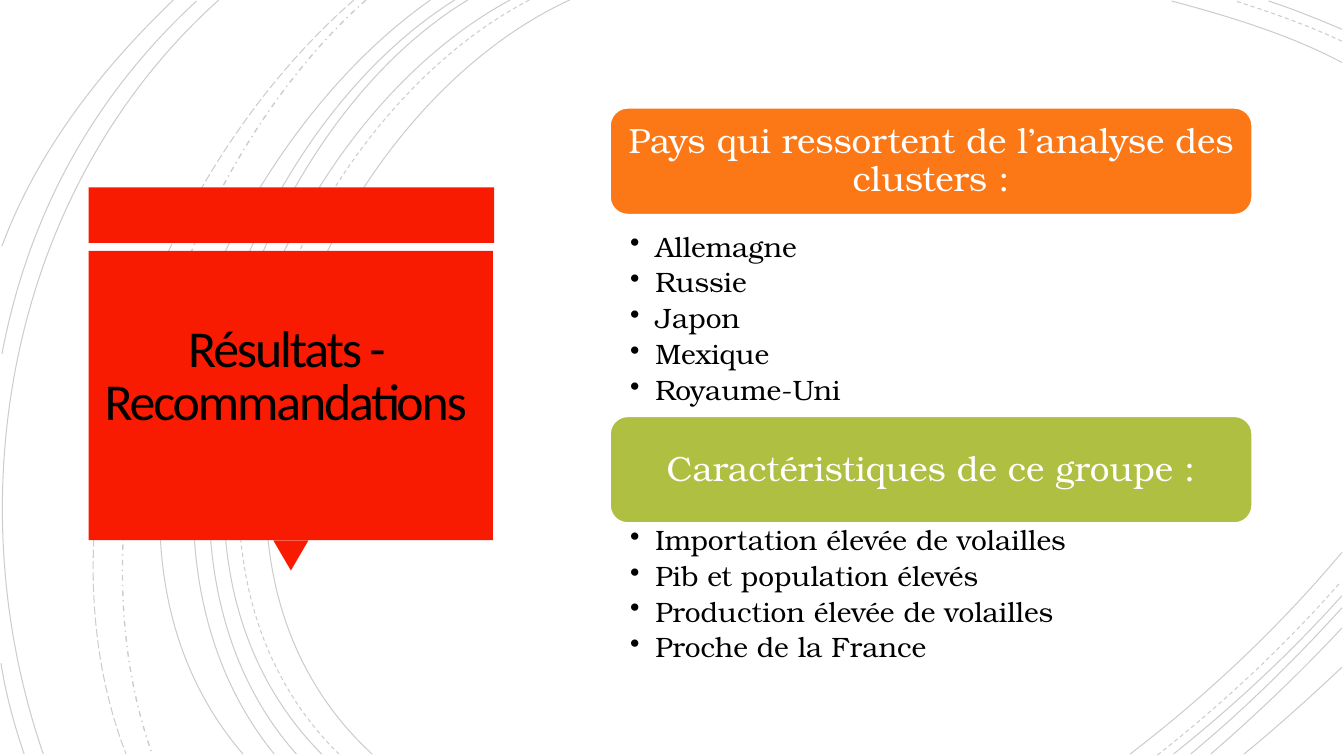
from lxml import etree
from pptx import Presentation
from pptx.dml.color import RGBColor
from pptx.enum.dml import MSO_LINE
from pptx.enum.shapes import MSO_SHAPE
from pptx.enum.text import MSO_ANCHOR, MSO_AUTO_SIZE, PP_ALIGN
from pptx.oxml.ns import qn
from pptx.util import Inches, Pt

SOLID, DASH = MSO_LINE.SOLID, MSO_LINE.DASH
DASH_DOT, LONG_DASH = MSO_LINE.DASH_DOT, MSO_LINE.LONG_DASH
RECTANGLE, ROUNDED = MSO_SHAPE.RECTANGLE, MSO_SHAPE.ROUNDED_RECTANGLE
TRIANGLE = MSO_SHAPE.ISOSCELES_TRIANGLE
CENTER, LEFT = PP_ALIGN.CENTER, PP_ALIGN.LEFT
TOP, MIDDLE = MSO_ANCHOR.TOP, MSO_ANCHOR.MIDDLE

# Content
TITLE = "Résultats - Recommandations"
# heading, colour, heading top, list top, list height, list top inset, items
SECTIONS = [
    ("Pays qui ressortent de l’analyse des clusters :", "FC7715", 1.07, 1.92, 2.21, 0.39,
     ["Allemagne", "Russie", "Japon", "Mexique", "Royaume-Uni"]),
    ("Caractéristiques de ce groupe :", "AFBF41", 4.13, 5.19, 1.44, 0.03,
     ["Importation élevée de volailles", "Pib et population élevés",
      "Production élevée de volailles", "Proche de la France"]),
]
SECTION_LEFT, SECTION_WIDTH, HEADING_HEIGHT = 6.05, 6.37, 1.06
RED = "F81B02"
TITLE_PANEL = [  # preset, left, top, width, height, rotation
    (RECTANGLE, 0.88, 1.86, 4.02, 0.55, 0),
    (TRIANGLE, 2.71, 5.36, 0.35, 0.3, 180),
    (RECTANGLE, 0.88, 2.49, 4.01, 2.87, 0),
]
# Background arcs: start, two control points, end, dash, line width
ARCS = [
    # long sweeps on the left
    ((5.65, 0), (3.15, 1.15), (1.43, 5.4), (3.69, 7.48), SOLID, 0.75),
    ((5.25, 0), (2.85, 1.25), (1.23, 5.37), (3.36, 7.48), DASH, 0.75),
    ((5.06, 0), (2.7, 1.27), (1.1, 5.37), (3.19, 7.48), SOLID, 0.75),
    ((4.64, 0), (2.44, 1.33), (1.1, 5.41), (2.94, 7.48), SOLID, 0.75),
    ((4.51, 0), (2.31, 1.38), (0.97, 5.33), (2.72, 7.48), SOLID, 0.75),
    ((4.27, 0), (2.17, 1.47), (0.53, 5.29), (2.41, 7.48), SOLID, 0.75),
    ((3.63, 0), (1.76, 1.66), (0.65, 5.09), (1.51, 7.48), DASH_DOT, 1),
    ((3.51, 0), (1.57, 1.69), (0.29, 4.99), (1.25, 7.48), LONG_DASH, 0.75),
    ((2.17, 0), (0.11, 1.85), (-0.46, 4.9), (0.43, 7.48), SOLID, 0.75),
    # short arcs at the left edge
    ((1.95, 0.01), (0.92, 0.96), (0.28, 2.14), (0.02, 3.51), SOLID, 0.75),
    ((0.01, 6.58), (0.06, 6.89), (0.14, 7.19), (0.24, 7.48), SOLID, 0.75),
    ((1.72, 0), (1, 0.69), (0.37, 1.5), (0.02, 2.44), SOLID, 0.75),
    # top right corner
    ((13.31, 0.62), (12.78, 0.34), (12.18, 0.16), (11.62, 0.01), SOLID, 0.75),
    ((13.31, 0.41), (12.97, 0.25), (12.6, 0.12), (12.25, 0.01), DASH, 0.75),
    ((13.31, 0.29), (13.07, 0.19), (12.83, 0.09), (12.58, 0.01), SOLID, 0.75),
    # bottom right corner
    ((11.21, 7.48), (11.97, 6.9), (12.69, 6.22), (13.31, 5.48), SOLID, 0.75),
    ((11.48, 7.49), (12.13, 6.98), (12.75, 6.4), (13.3, 5.77), DASH, 0.75),
    ((11.64, 7.48), (12.23, 7.01), (12.8, 6.48), (13.31, 5.91), SOLID, 0.75),
    ((11.81, 7.48), (12.34, 7.04), (12.84, 6.55), (13.31, 6.03), SOLID, 0.75),
    ((12.01, 7.48), (12.46, 7.09), (12.9, 6.67), (13.31, 6.23), SOLID, 0.75),
    ((12.34, 7.48), (12.67, 7.21), (12.99, 6.92), (13.31, 6.62), SOLID, 0.75),
]

# Text formats
TITLE_FORMAT = {"size": Pt(37), "name": "Calibri", "bold": False}
HEADING_FORMAT = {"size": Pt(25), "name": "TeX Gyre Bonum"}
ITEM_FORMAT = {"size": Pt(20), "name": "TeX Gyre Bonum"}


def color(value):
    return RGBColor.from_string(value)


def inches(*values):
    return [Inches(value) for value in values]


def write(shape, lines, font_format, font_color, align, anchor, spacing, insets, after=0):
    frame = shape.text_frame
    left, top, right, bottom = inches(*insets)
    settings = {"word_wrap": True, "auto_size": MSO_AUTO_SIZE.NONE, "vertical_anchor": anchor,
                "margin_left": left, "margin_top": top,
                "margin_right": right, "margin_bottom": bottom}
    for name, value in settings.items():
        setattr(frame, name, value)
    frame.text = "\n".join(lines)
    for paragraph in frame.paragraphs:
        paragraph.alignment = align
        paragraph.line_spacing = spacing
        paragraph.space_after = Pt(after)
        font = paragraph.runs[0].font
        for name, value in font_format.items():
            setattr(font, name, value)
        font.color.rgb = color(font_color)
    return frame.paragraphs


def add_block(preset, box, fill):
    shape = slide.shapes.add_shape(preset, *inches(*box))
    shape.shadow.inherit = False
    shape.fill.solid()
    shape.fill.fore_color.rgb = color(fill)
    shape.line.fill.background()
    return shape


def add_arc(points, dash, width):
    start, *others = [inches(*point) for point in points]
    builder = slide.shapes.build_freeform(*start, scale=1.0)
    builder.add_line_segments(others, close=False)
    arc = builder.convert_to_shape()
    arc.shadow.inherit = False
    arc.fill.background()
    arc.line.width = Pt(width)
    arc.line.dash_style = dash
    arc.line.color.rgb = color("000000")
    ink = arc.line._ln.find(".//" + qn("a:srgbClr"))
    etree.SubElement(ink, qn("a:alpha"), val="20000")
    # Turn the three straight segments into one cubic curve
    segments = list(arc._element.iter(qn("a:lnTo")))
    outline = segments[0].getparent()
    curve = etree.SubElement(outline, qn("a:cubicBezTo"))
    for segment in segments:
        curve.append(segment[0])
        outline.remove(segment)


presentation = Presentation()
presentation.slide_width, presentation.slide_height = inches(13.33, 7.5)
slide = presentation.slides.add_slide(presentation.slide_layouts[5])

# Background arcs
for *points, dash, width in ARCS:
    add_arc(points, dash, width)

# Title on its red panel
for preset, *box, rotation in TITLE_PANEL:
    add_block(preset, box, RED).rotation = rotation
title = slide.shapes.title
title.left, title.top, title.width, title.height = inches(0.92, 2.41, 3.83, 2.69)
title_paragraphs = write(title, [TITLE], TITLE_FORMAT, "000000", CENTER, MIDDLE, 0.85,
                         (0.1, 0.05, 0.1, 0.05))
title_paragraphs[0].runs[0].font._element.set("spc", "-150")
slide.shapes._spTree.append(title._element)

# Headings with their bullet lists
for heading, fill, heading_top, list_top, list_height, inset, items in SECTIONS:
    block = add_block(ROUNDED, (SECTION_LEFT, heading_top, SECTION_WIDTH, HEADING_HEIGHT), fill)
    block.line.color.rgb = color("FFFFFF")
    block.line.width = Pt(1.25)
    write(block, [heading], HEADING_FORMAT, "FFFFFF", CENTER, MIDDLE, 0.9, (0.1, 0.1, 0.1, 0.1))
    box = slide.shapes.add_textbox(*inches(SECTION_LEFT, list_top, SECTION_WIDTH, list_height))
    for paragraph in write(box, items, ITEM_FORMAT, "000000", LEFT, TOP, 0.9,
                           (0.2, inset, 0.19, 0.03), after=4):
        properties = paragraph._p.get_or_add_pPr()
        properties.set("marL", str(Inches(0.25)))
        properties.set("indent", str(Inches(-0.25)))
        etree.SubElement(properties, qn("a:buChar"), char="•")

presentation.save("out.pptx")
